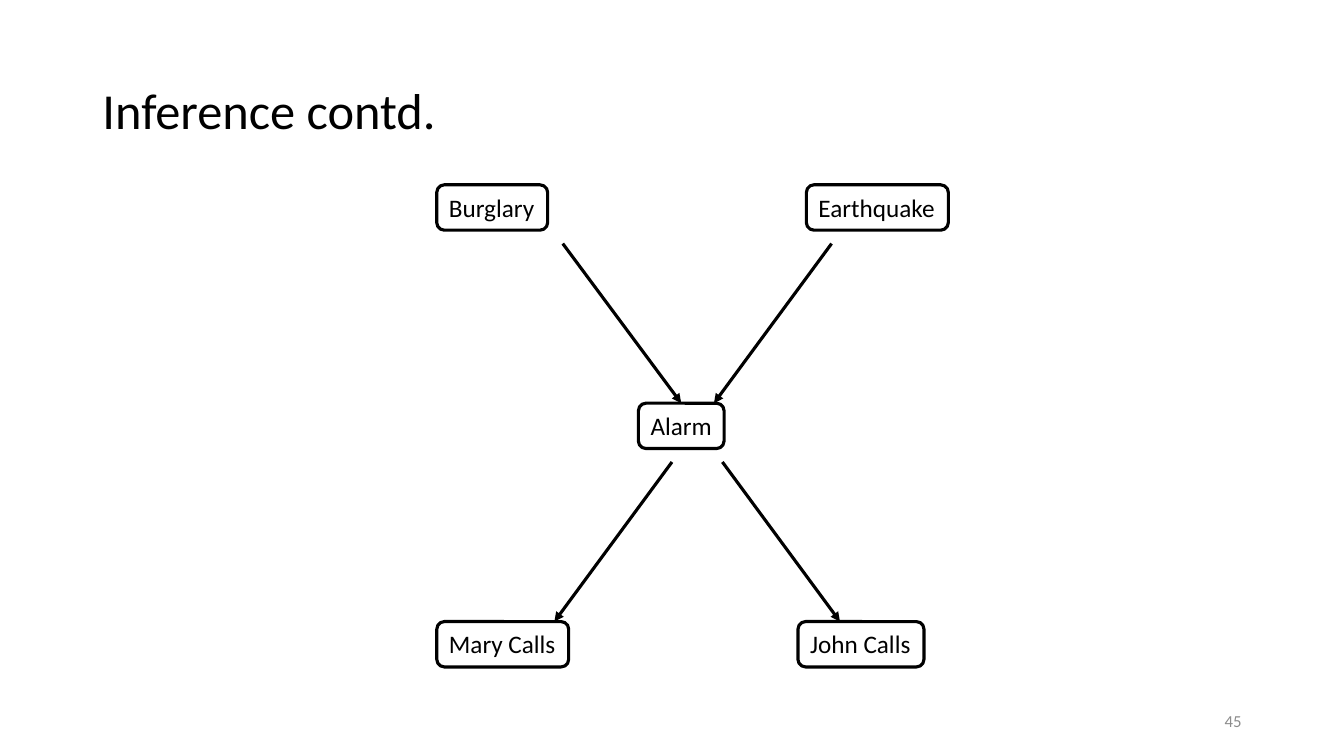
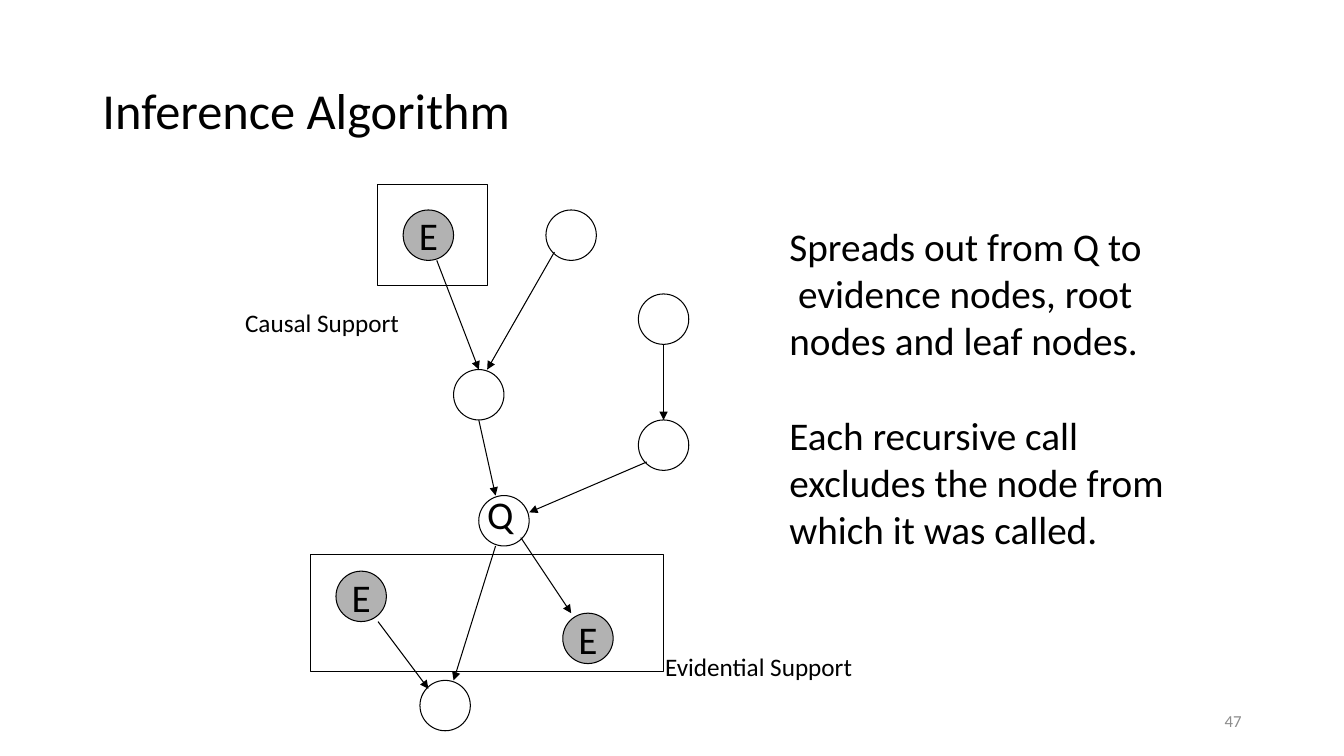
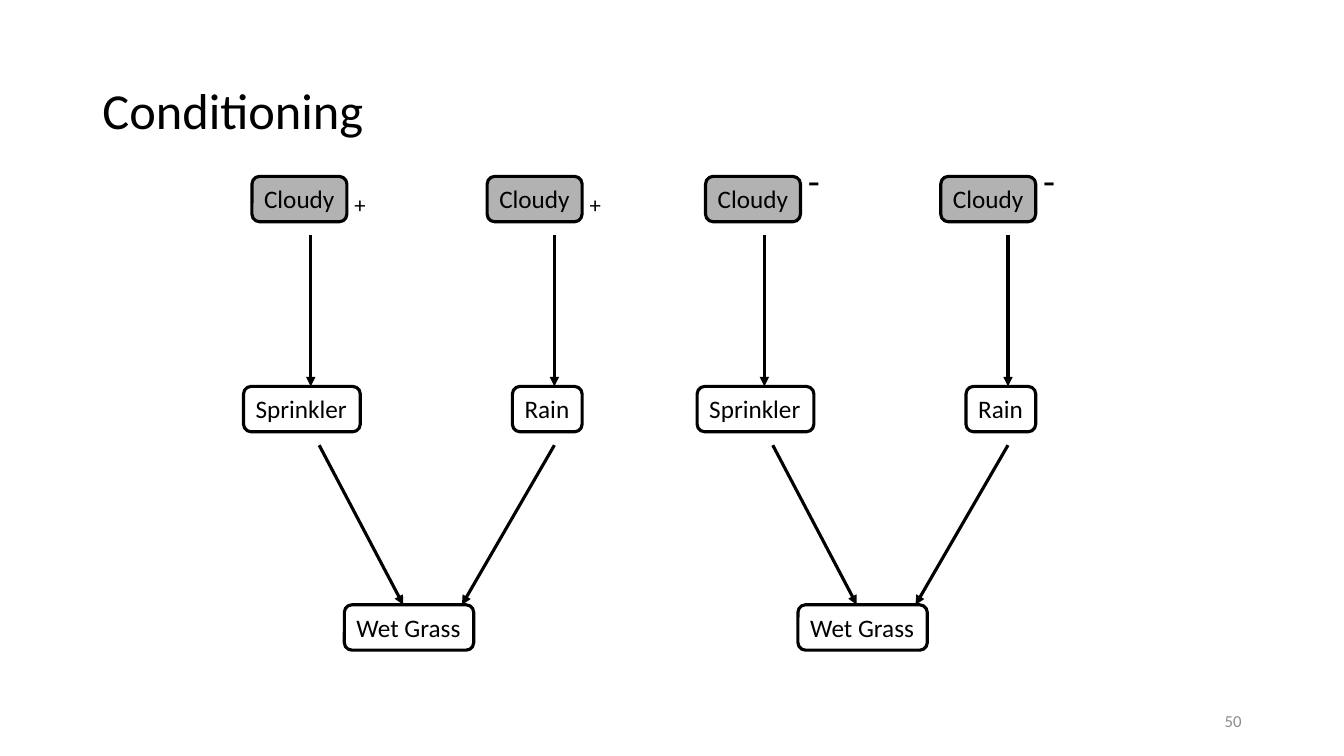
from dataclasses import dataclass

from lxml import etree
from pptx import Presentation
from pptx.dml.color import RGBColor
from pptx.enum.shapes import MSO_CONNECTOR, MSO_SHAPE
from pptx.enum.text import MSO_ANCHOR, MSO_AUTO_SIZE, PP_ALIGN
from pptx.oxml.ns import qn
from pptx.util import Inches, Pt

LEFT, CENTER, RIGHT = PP_ALIGN.LEFT, PP_ALIGN.CENTER, PP_ALIGN.RIGHT
TOP, MIDDLE = MSO_ANCHOR.TOP, MSO_ANCHOR.MIDDLE
GROW, FIXED = MSO_AUTO_SIZE.SHAPE_TO_FIT_TEXT, MSO_AUTO_SIZE.NONE
ROUNDED, OVAL, RECT = MSO_SHAPE.ROUNDED_RECTANGLE, MSO_SHAPE.OVAL, MSO_SHAPE.RECTANGLE
STRAIGHT = MSO_CONNECTOR.STRAIGHT


@dataclass(frozen=True)
class Theme:
    font: str = "Calibri"
    ink: str = "000000"
    muted: str = "8C8C8C"
    evidence: str = "B2B2B2"
    title: float = 36
    body: float = 28
    label: float = 18
    number: float = 12
    thick: float = 2.25
    thin: float = 0.75


T = Theme()

# The slide is a grid of 160 columns and 90 rows, twelve to the inch.
COLS, ROWS = 160, 90
TITLE_BOX = (11, 4.8, 138, 17.4)
NUMBER_BOX = (113, 83.4, 36, 4.8)
NODE_H, CIRCLE = 5.4, 6


def grid(n):
    return Inches(n / 12)


def place(box):
    return [grid(n) for n in box]


def write(tf, *lines, size=T.label, color=T.ink, align=LEFT, anchor=TOP, wrap=False,
          fit=GROW, spacing=None, baseline=None):
    """Fill tf with lines; a line is text or (text, indent in columns, space before)."""
    tf.word_wrap, tf.auto_size, tf.vertical_anchor = wrap, fit, anchor
    for i, line in enumerate(lines):
        text, indent, before = (line, 0, 0) if isinstance(line, str) else line
        p = tf.paragraphs[0] if i == 0 else tf.add_paragraph()
        p.alignment = align
        if indent:
            p._p.get_or_add_pPr().set("marL", str(grid(indent)))
        if before:
            p.space_before = Pt(before)
        if spacing:
            p.line_spacing = spacing
        r = p.add_run()
        r.text = text
        r.font.name, r.font.size = T.font, Pt(size)
        r.font.color.rgb = RGBColor.from_string(color)
        if baseline:
            r.font._element.set("baseline", str(baseline))


def text_box(s, box, *lines, **fmt):
    write(s.shapes.add_textbox(*place(box)).text_frame, *lines, **fmt)


def outline(s, kind, box, width, fill=None):
    sp = s.shapes.add_shape(kind, *place(box))
    sp.shadow.inherit = False
    if fill:
        sp.fill.solid()
        sp.fill.fore_color.rgb = RGBColor.from_string(fill)
    else:
        sp.fill.background()
    sp.line.color.rgb = RGBColor.from_string(T.ink)
    sp.line.width = Pt(width)
    return sp


def node(s, x, y, w, text, fill=None):
    sp = outline(s, ROUNDED, (x, y, w, NODE_H), T.thick, fill)
    sp.adjustments[0] = 0.167
    write(sp.text_frame, text)
    return sp


def circle(s, x, y, text=None):
    sp = outline(s, OVAL, (x, y, CIRCLE, CIRCLE), T.thin, T.evidence if text else None)
    if text:
        write(sp.text_frame, text, size=T.body, align=CENTER, anchor=MIDDLE, fit=FIXED)
    return sp


def arrows(s, x, y, links, width, targets):
    """Draw links offset by x, y; join those that end at the top middle of a target."""
    for x1, y1, x2, y2 in links:
        c = s.shapes.add_connector(STRAIGHT, *place((x + x1, y + y1, x + x2, y + y2)))
        c.line.color.rgb = RGBColor.from_string(T.ink)
        c.line.width = Pt(width)
        spPr = c._element.spPr
        etree.SubElement(spPr.find(qn("a:ln")), qn("a:tailEnd"), type="triangle")
        etree.SubElement(spPr, qn("a:effectLst"))
        for sp in targets:
            gap_x = abs(sp.left + sp.width / 2 - c.end_x)
            if max(gap_x, abs(sp.top - c.end_y)) < grid(0.2):
                c.end_connect(sp, 0)


def base_slide(prs, title, number):
    s = prs.slides.add_slide(prs.slide_layouts[5])
    sp = s.shapes.title
    sp.left, sp.top, sp.width, sp.height = place(TITLE_BOX)
    write(sp.text_frame, title, size=T.title, anchor=MIDDLE, wrap=True, fit=FIXED, spacing=0.9)
    text_box(s, NUMBER_BOX, str(number), size=T.number, color=T.muted, align=RIGHT,
             anchor=MIDDLE, wrap=True, fit=FIXED)
    return s


def alarm_network(s, x, y):
    nodes = [node(s, x + dx, y + dy, w, text) for dx, dy, w, text in (
        (0, 0, 13.2, "Burglary"), (44, 0, 16.9, "Earthquake"), (24, 26, 10.2, "Alarm"),
        (0, 52, 15.7, "Mary Calls"), (43, 52, 15, "John Calls"))]
    links = ((47, 7, 33, 26), (15, 7, 29, 26), (34, 33, 48, 52), (28, 33, 14, 52))
    arrows(s, x, y, links, T.thick, nodes)


def support_network(s, x, y):
    for dx, dy, w, h in ((17, 0, 13, 12), (9, 44, 42, 14)):
        outline(s, RECT, (x + dx, y + dy, w, h), T.thin)
    for dx, dy in ((20, 3), (12, 46), (39, 51)):
        circle(s, x + dx, y + dy, "E")
    plain = [circle(s, x + dx, y + dy) for dx, dy in (
        (37, 3), (48, 13), (26, 22), (48, 28), (29, 37), (22, 59))]
    links = ((24, 9, 29, 22), (38, 8, 30, 22), (29, 28, 31, 37), (51, 19, 51, 28),
             (49, 33, 35, 39), (31, 43, 26, 59), (34, 42, 40, 51), (17, 52, 23, 60))
    arrows(s, x, y, links, T.thin, plain)
    text_box(s, (x + 28.8, y + 35.8, 5.8, 6.8), "Q", size=T.body)
    text_box(s, (x, y + 14, 20.9, 4.8), "Causal Support")
    text_box(s, (x + 50, y + 55, 25, 4.8), "Evidential Support")


def algorithm_notes(s, box):
    text_box(s, box, "Spreads out from Q to", ("evidence nodes, root", 1.05, 0),
             "nodes and leaf nodes.", ("Each recursive call", 0, 34),
             "excludes the node from", "which it was called.", size=T.body)


def sprinkler_network(s, x, y, sign, sign_dy, sign_h, baseline=None):
    """Draw the network for one value of Cloudy, marked by its sign."""
    for dx in (1, 29):
        node(s, x + dx, y, 11.3, "Cloudy", T.evidence)
        text_box(s, (x + dx + 11, y + sign_dy, 4, sign_h), sign, size=T.body, baseline=baseline)
    nodes = [node(s, x + dx, y + dy, w, text) for dx, dy, w, text in (
        (0, 25, 13.9, "Sprinkler"), (32, 25, 8.3, "Rain"), (12, 51, 15.4, "Wet Grass"))]
    links = ((8, 7, 8, 25), (37, 7, 37, 25), (9, 32, 19, 51), (37, 32, 26, 51))
    arrows(s, x, y, links, T.thick, nodes)


def main():
    prs = Presentation()
    prs.slide_width, prs.slide_height = grid(COLS), grid(ROWS)

    alarm_network(base_slide(prs, "Inference contd.", 45), 52, 22)

    s = base_slide(prs, "Inference Algorithm", 47)
    support_network(s, 28, 22)
    algorithm_notes(s, (92.8, 25.9, 47.5, 40.8))

    s = base_slide(prs, "Conditioning", 50)
    sprinkler_network(s, 29, 21, "+", -2, 5, baseline=-25000)
    sprinkler_network(s, 83, 21, "-", -3, 6.8)

    prs.save("out.pptx")


if __name__ == "__main__":
    main()
